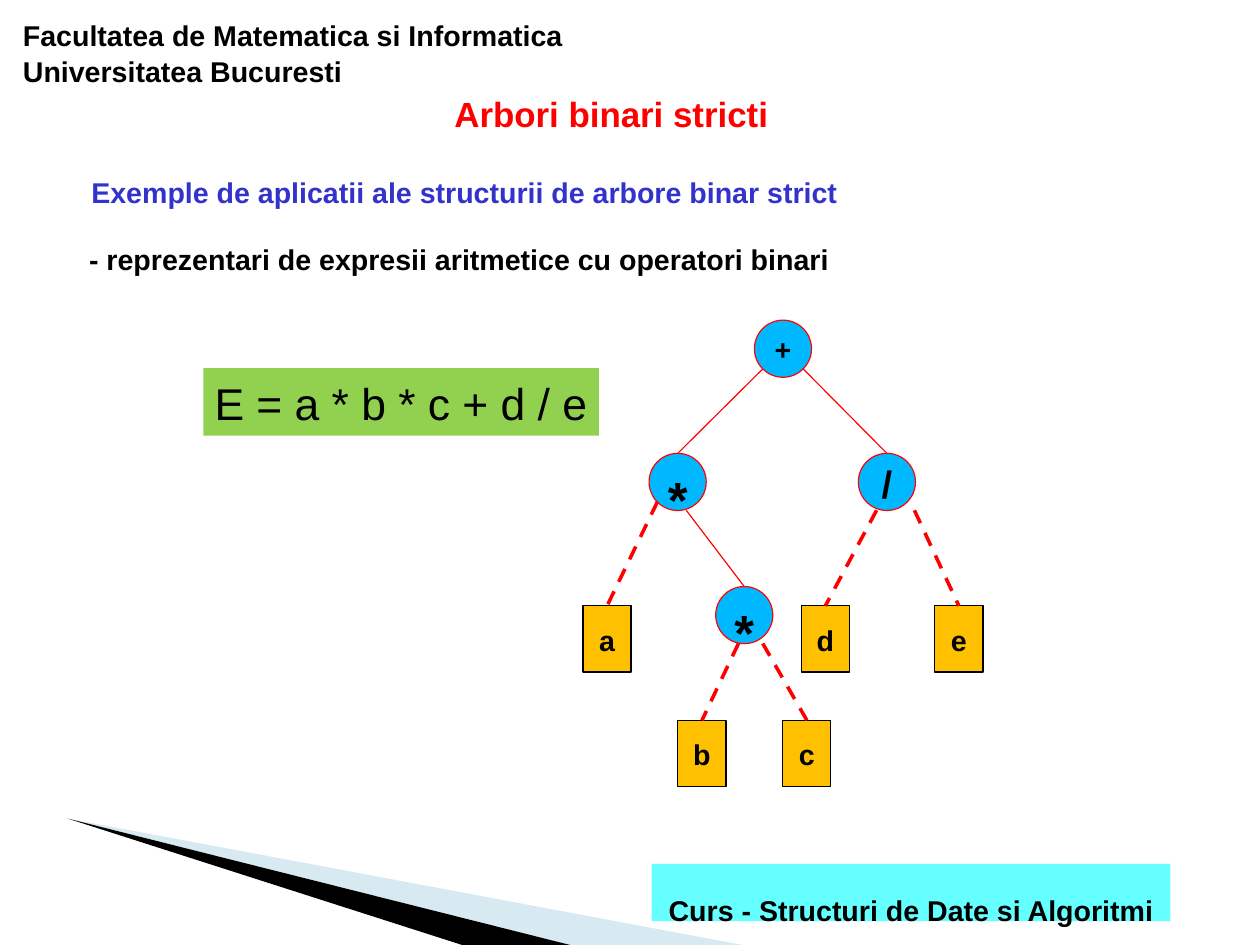
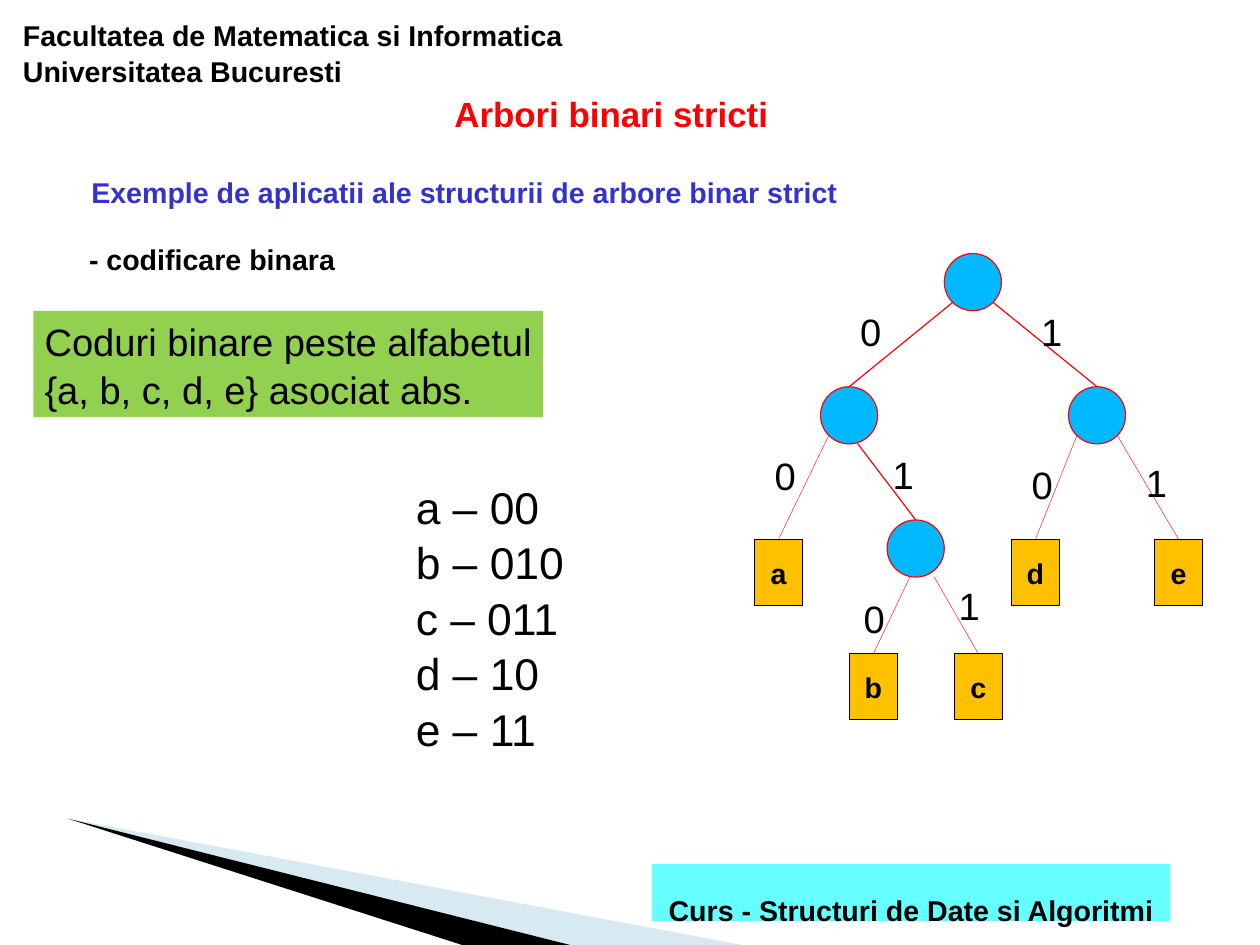
"""Build two slides on strict binary trees: an expression tree and a binary code tree."""
from lxml import etree
from pptx import Presentation
from pptx.dml.color import RGBColor
from pptx.enum.dml import MSO_LINE
from pptx.enum.shapes import MSO_CONNECTOR, MSO_SHAPE
from pptx.enum.text import MSO_ANCHOR, PP_ALIGN
from pptx.oxml.ns import qn
from pptx.util import Cm, Pt

BLACK = RGBColor(0x00, 0x00, 0x00)
RED = RGBColor(0xFF, 0x00, 0x00)
INDIGO = RGBColor(0x33, 0x33, 0xCC)
CYAN = RGBColor(0x66, 0xFF, 0xFF)
GREEN = RGBColor(0x92, 0xD0, 0x50)
BLUE = RGBColor(0x00, 0xB8, 0xFF)
AMBER = RGBColor(0xFF, 0xC0, 0x00)
PALE_BLUE = RGBColor(0x9F, 0xCB, 0xDC)
FONT = "Arial"

INSTITUTION = "Facultatea de Matematica si Informatica Universitatea Bucuresti"
COURSE = "Curs - Structuri de Date si Algoritmi"
TITLE = "Arbori binari stricti"
SUBTITLE = "Exemple de aplicatii ale structurii de arbore binar strict"

WEDGES = [
    ([(1.5, 18.19), (16.5, 21), (12.67, 21)], PALE_BLUE, 40),
    ([(1.5, 18.19), (12.67, 21), (10.27, 21)], BLACK, 100),
]

NODE_SIZE = (1.27, 1.27)
LEAF_SIZE = (1.07, 1.47)
BIT_SIZE = (0.97, 1.32)
NODE_DEPTHS = {"root": 0, "left": 2.96, "right": 2.96, "inner": 5.92}
LEAF_DEPTHS = {"a": 6.45, "b": 8.99, "c": 8.99, "d": 6.45, "e": 6.45}
BRANCHES = [
    ("root", "left", (-0.45, 0.45)),
    ("root", "right", (0.45, 0.45)),
    ("left", "inner", (0.19, 0.63)),
    ("left", "a", (-0.45, 0.44)),
    ("inner", "b", (-0.13, 0.63)),
    ("inner", "c", (0.41, 0.63)),
]

EXAMPLES = [
    {
        "topic": "- reprezentari de expresii aritmetice cu operatori binari",
        "panels": [(["E = a * b * c + d / e"], 28, (4.52, 8.18, 8.79, 1.5), GREEN)],
        "root_y": 7.75,
        "columns": {"root": 17.4, "left": 15.06, "right": 19.71, "inner": 16.54,
                    "a": 13.49, "b": 15.6, "c": 17.93, "d": 18.34, "e": 21.31},
        "right_branches": [("right", "d", (-0.23, 0.63)), ("right", "e", (0.61, 0.63))],
        "leaf_line": (2.25, MSO_LINE.DASH),
        "operators": {"root": ("+", 18), "left": ("*", 32), "right": ("/", 24), "inner": ("*", 32)},
        "bits": {},
    },
    {
        "topic": "- codificare binara",
        "panels": [
            (["Coduri binare peste alfabetul", "{a, b, c, d, e} asociat abs."],
             24, (0.74, 6.91, 11.33, 2.36), GREEN),
            (["a – 00", "b – 010", "c – 011", "d – 10", "e – 11"],
             28, (8.99, 10.49, 5, 6.43), None),
        ],
        "root_y": 6.27,
        "columns": {"root": 21.62, "left": 18.87, "right": 24.38, "inner": 20.35,
                    "a": 17.3, "b": 19.41, "c": 21.74, "d": 23.01, "e": 26.19},
        "right_branches": [("right", "d", (-0.45, 0.45)), ("right", "e", (0.45, 0.45))],
        "leaf_line": (0.25, MSO_LINE.SOLID),
        "operators": {},
        "bits": {"left": ("0", 19.35, 7.34), "right": ("1", 23.37, 7.34),
                 "a": ("0", 17.45, 10.54), "inner": ("1", 20.07, 10.52),
                 "b": ("0", 19.43, 13.72), "c": ("1", 21.54, 13.44),
                 "d": ("0", 23.16, 10.74), "e": ("1", 25.7, 10.69)},
    },
]


def around(center, size):
    return (center[0] - size[0] / 2, center[1] - size[1] / 2, *size)


def write(shape, lines, size, color=BLACK, bold=True, align=PP_ALIGN.LEFT,
          anchor=MSO_ANCHOR.TOP, spacing=1.04, insets=(0.25, 0.13), wrap=True):
    frame = shape.text_frame
    frame.text = "\n".join(lines)
    frame.word_wrap = wrap
    frame.vertical_anchor = anchor
    frame.margin_left = frame.margin_right = Cm(insets[0])
    frame.margin_top = frame.margin_bottom = Cm(insets[1])
    for paragraph in frame.paragraphs:
        paragraph.alignment = align
        paragraph.line_spacing = spacing
        for run in paragraph.runs:
            run.font.name = FONT
            run.font.size = Pt(size)
            run.font.bold = bold
            run.font.color.rgb = color


def add_text(slide, lines, size, box, fill=None, **style):
    label = slide.shapes.add_textbox(*map(Cm, box))
    if fill is not None:
        label.fill.solid()
        label.fill.fore_color.rgb = fill
    write(label, lines, size, **style)


def add_wedge(slide, points, color, opacity):
    start, *others = [(Cm(x), Cm(y)) for x, y in points]
    builder = slide.shapes.build_freeform(*start)
    builder.add_line_segments(others, close=True)
    wedge = builder.convert_to_shape()
    wedge.shadow.inherit = False
    wedge.fill.solid()
    wedge.fill.fore_color.rgb = color
    wedge.line.fill.background()
    if opacity < 100:
        tint = wedge._element.spPr.find(qn("a:solidFill"))[0]
        etree.SubElement(tint, qn("a:alpha")).set("val", str(opacity * 1000))


def add_frame(slide, topic):
    for wedge in WEDGES:
        add_wedge(slide, *wedge)
    add_text(slide, [INSTITUTION], 18, (0.23, 0.23, 14, 1.85), insets=(0.28, 0.15))
    add_text(slide, [COURSE], 18, (14.48, 19.2, 11.53, 1.27), fill=CYAN, align=PP_ALIGN.CENTER,
             anchor=MSO_ANCHOR.MIDDLE, spacing=2.0)
    add_text(slide, [TITLE], 22, (8.38, 2.03, 10.41, 1), color=RED, align=PP_ALIGN.CENTER,
             spacing=1.0, insets=(0, 0.03))
    add_text(slide, [SUBTITLE], 18, (1.78, 3.73, 17.09, 1.04), color=INDIGO, wrap=False)
    add_text(slide, [topic], 18, (1.73, 5.21, 17.15, 1.04))


def add_vertex(slide, preset, center, size, fill, outline):
    vertex = slide.shapes.add_shape(preset, *map(Cm, around(center, size)))
    vertex.shadow.inherit = False
    vertex.fill.solid()
    vertex.fill.fore_color.rgb = fill
    vertex.line.color.rgb = outline
    vertex.line.width = Pt(0.75)
    return vertex


def add_branch(slide, start, child, width, dash):
    x, y = map(Cm, start)
    branch = slide.shapes.add_connector(MSO_CONNECTOR.STRAIGHT, x, y, x, y)
    branch.end_connect(child, 0)
    branch.line.color.rgb = RED
    branch.line.width = Pt(width)
    branch.line.dash_style = dash
    etree.SubElement(branch._element.spPr, qn("a:effectLst"))


def add_tree(slide, example):
    depths = {**NODE_DEPTHS, **LEAF_DEPTHS}
    centers = {key: (x, example["root_y"] + depths[key]) for key, x in example["columns"].items()}
    vertices = {}
    for key in NODE_DEPTHS:
        vertices[key] = add_vertex(slide, MSO_SHAPE.OVAL, centers[key], NODE_SIZE, BLUE, RED)
        if key in example["operators"]:
            operator, size = example["operators"][key]
            anchor = MSO_ANCHOR.TOP if operator == "*" else MSO_ANCHOR.MIDDLE
            write(vertices[key], [operator], size, align=PP_ALIGN.CENTER, anchor=anchor,
                  insets=(0, 0.07), wrap=False)
    for key in LEAF_DEPTHS:
        vertices[key] = add_vertex(slide, MSO_SHAPE.RECTANGLE, centers[key], LEAF_SIZE, AMBER, BLACK)
        write(vertices[key], [key], 18, align=PP_ALIGN.CENTER, anchor=MSO_ANCHOR.MIDDLE,
              insets=(0, 0), wrap=False)
    for parent, child, (dx, dy) in BRANCHES + example["right_branches"]:
        x, y = centers[parent]
        line = example["leaf_line"] if child in LEAF_DEPTHS else (0.75, MSO_LINE.SOLID)
        add_branch(slide, (x + dx, y + dy), vertices[child], *line)
    for bit, x, y in example["bits"].values():
        add_text(slide, [bit], 24, around((x, y), BIT_SIZE), bold=False,
                 align=PP_ALIGN.CENTER, wrap=False)


def main():
    deck = Presentation()
    deck.slide_width, deck.slide_height = Cm(28), Cm(21)
    for example in EXAMPLES:
        slide = deck.slides.add_slide(deck.slide_layouts[6])
        add_frame(slide, example["topic"])
        for lines, size, box, fill in example["panels"]:
            add_text(slide, lines, size, box, fill=fill, bold=False, wrap=fill is None)
        add_tree(slide, example)
    deck.save("out.pptx")


if __name__ == "__main__":
    main()
